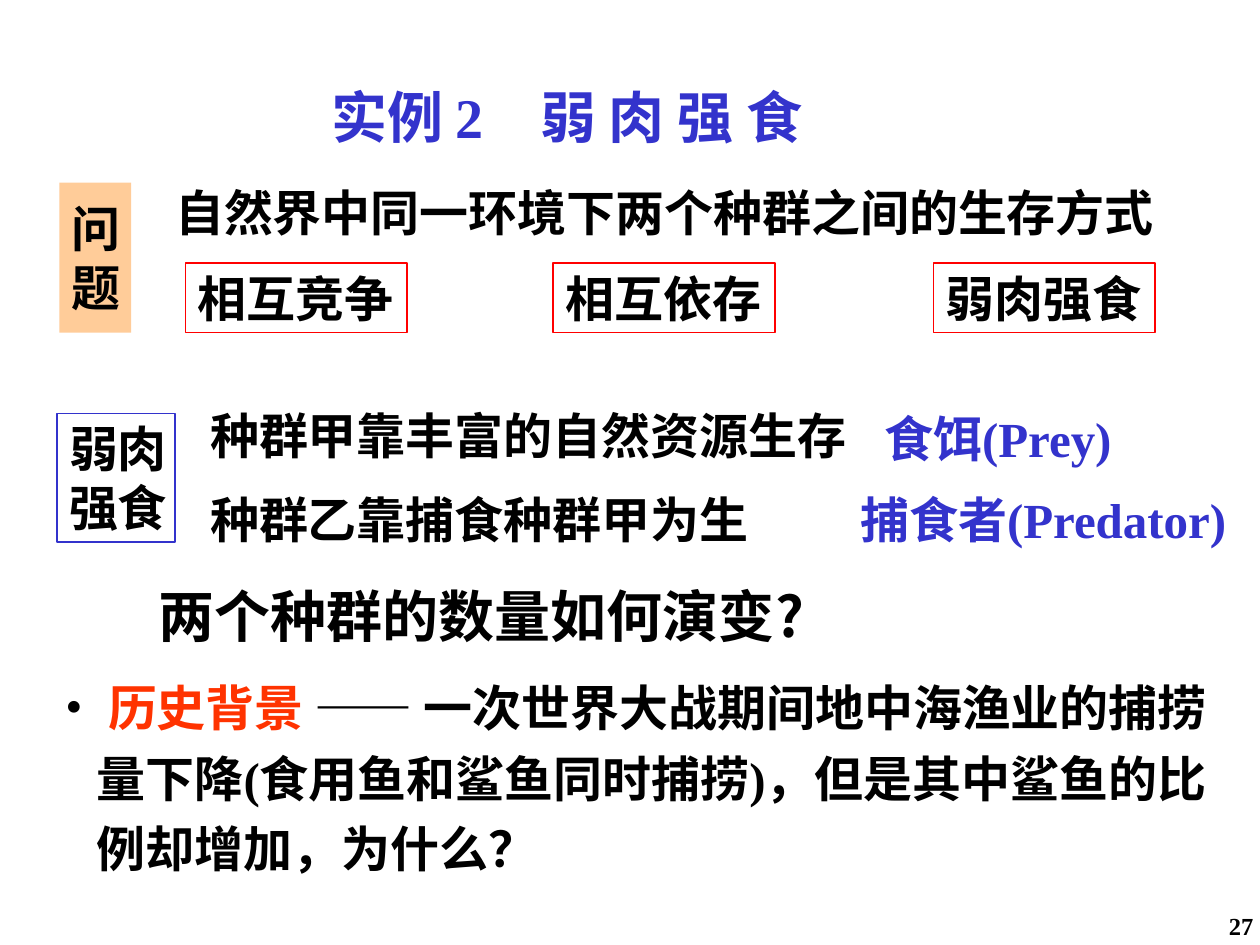
from lxml.etree import SubElement
from pptx import Presentation
from pptx.dml.color import RGBColor
from pptx.enum.shapes import MSO_SHAPE
from pptx.enum.text import MSO_ANCHOR, MSO_AUTO_SIZE, PP_ALIGN
from pptx.oxml.ns import qn
from pptx.util import Pt

COLORS = {"blue": "3333CC", "black": "000000", "red": "FF0000",
          "orange": "FF3300", "peach": "FFCC99"}
SERIF, CJK = "Times New Roman", "Noto Sans CJK SC"


def style_run(run, color="black", size=28, face=SERIF):
    for key, value in {"name": face, "size": Pt(size), "bold": True}.items():
        setattr(run.font, key, value)
    run.font.color.rgb = RGBColor.from_string(COLORS[color])


def write(holder, box, text, align=PP_ALIGN.LEFT, **look):
    for key, value in zip(("left", "top", "width", "height"), box):
        setattr(holder, key, Pt(value))
    frame = holder.text_frame
    frame_format = {"word_wrap": True, "auto_size": MSO_AUTO_SIZE.NONE,
                    "vertical_anchor": MSO_ANCHOR.MIDDLE,
                    "margin_left": Pt(7.2), "margin_right": 0,
                    "margin_top": Pt(3.2), "margin_bottom": Pt(3.6)}
    for key, value in frame_format.items():
        setattr(frame, key, value)
    frame.text = text
    for paragraph in frame.paragraphs:
        paragraph.alignment = align
        for run in paragraph.runs:
            style_run(run, **look)


deck = Presentation()
deck.slide_width, deck.slide_height = Pt(720), Pt(540)
slide = deck.slides.add_slide(deck.slide_layouts[1])
shapes = slide.shapes

write(shapes.title, (182, 42.5, 308, 48), "实例 2　弱 肉 强 食", color="blue", size=32)

framed = [
    ((34, 104.4, 41, 85.7), "问\n题", "peach", None, CJK),
    ((106, 150.5, 126.7, 39.6), "相互竞争", None, "red", SERIF),
    ((316, 150.5, 126.7, 39.6), "相互依存", None, "red", SERIF),
    ((533.5, 150.5, 126.7, 39.6), "弱肉强食", None, "red", SERIF),
    ((32.4, 236.2, 67.7, 73.4), "弱肉\v强食", None, "blue", SERIF),
]
for box, text, fill, outline, face in framed:
    frame_box = shapes.add_shape(MSO_SHAPE.RECTANGLE, 0, 0, 0, 0)
    frame_box.shadow.inherit = False
    if fill:
        frame_box.fill.solid()
        frame_box.fill.fore_color.rgb = RGBColor.from_string(COLORS[fill])
    else:
        frame_box.fill.background()
    if outline:
        frame_box.line.color.rgb = RGBColor.from_string(COLORS[outline])
        frame_box.line.width = Pt(1)
    else:
        frame_box.line.fill.background()
    write(frame_box, box, text, face=face)

statements = [
    ((93, 103, 589, 36), "自然界中同一环境下两个种群之间的生存方式", {}),
    ((113, 231, 387, 36), "种群甲靠丰富的自然资源生存", {}),
    ((113, 278.6, 387, 36), "种群乙靠捕食种群甲为生", {}),
    ((498.2, 232.6, 151, 36), "食饵(Prey)", {"color": "blue"}),
    ((484.5, 278.6, 229, 36), "捕食者(Predator)", {"color": "blue"}),
    ((83.5, 333.4, 387, 36), "两个种群的数量如何演变?", {"size": 32, "face": CJK}),
    ((682, 519.5, 34.2, 19), "27", {"size": 14, "align": PP_ALIGN.RIGHT}),
]
for box, text, look in statements:
    write(shapes.add_textbox(0, 0, 0, 0), box, text, **look)

background = slide.placeholders[1]
write(background, (30.2, 377.3, 674.6, 128.2), "")
background.text_frame.vertical_anchor = MSO_ANCHOR.TOP
background.text_frame.margin_right = Pt(7.2)
story = background.text_frame.paragraphs[0]
story.line_spacing = 1.2
story.space_before = Pt(0)
properties = story._p.get_or_add_pPr()
properties.set("marL", str(Pt(18)))
properties.set("indent", str(-Pt(18)))
bullet_color = SubElement(properties, qn("a:buClr"))
SubElement(bullet_color, qn("a:srgbClr"), val=COLORS["black"])
SubElement(properties, qn("a:buFont"), typeface=SERIF)
SubElement(properties, qn("a:buChar"), char="•")
passages = [
    (" ", "black", SERIF),
    ("历史背景 ", "orange", SERIF),
    ("—— 一次世界大战期间地中海渔业的捕捞 量下降(食用鱼和鲨鱼同时捕捞)，但是其中", "black", SERIF),
    ("鲨鱼的比例却增加，为什么？", "black", CJK),
]
for text, color, face in passages:
    run = story.add_run()
    run.text = text
    style_run(run, color, face=face)

deck.save("out.pptx")
